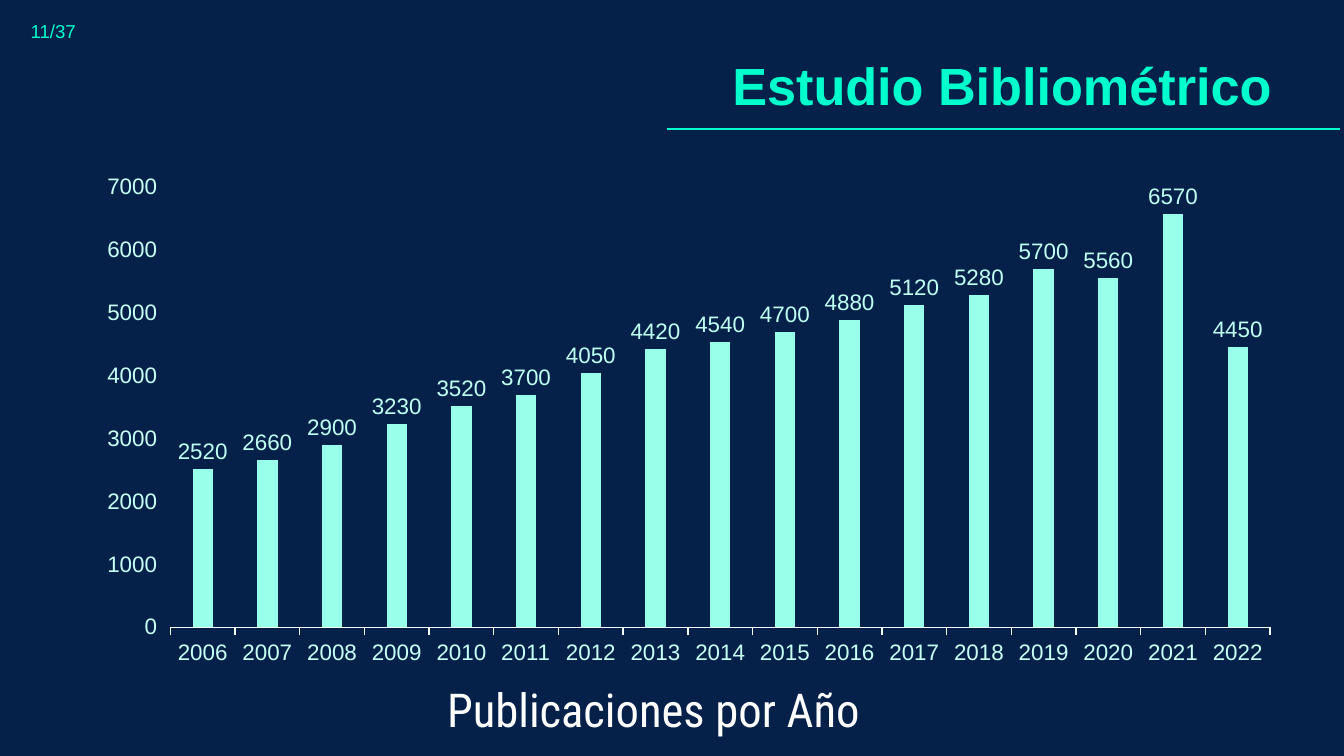
"""Build the slide with the yearly publications chart."""
from dataclasses import dataclass

from lxml import etree
from pptx import Presentation
from pptx import util as u
from pptx.chart.data import CategoryChartData
from pptx.dml.color import RGBColor
from pptx.enum import chart as charts, shapes, text
from pptx.oxml.ns import qn


@dataclass(frozen=True)
class Theme:
    """Colours, fonts and type sizes of the slide."""

    background: str = "05214A"
    accent: str = "00FFCD"
    caption: str = "FFFFFF"
    bar: str = "98FFEA"
    bar_label: str = "BFFFF2"
    axis_label: str = "C8FFF4"
    axis_line: str = "F2FFFC"
    chart_text: str = "AAFFEE"
    body_font: str = "Arial"
    caption_font: str = "Roboto Condensed"
    title_size: float = 28
    caption_size: float = 25
    label_size: float = 12
    small_size: float = 10
    line_width: float = 0.75


class Page:
    """Hold the theme and the current slide, and add elements to it."""

    def __init__(self, deck, theme):
        """Add a title-only slide with a plain background."""
        self.theme = theme
        self.slide = deck.slides.add_slide(deck.slide_layouts[5])
        fill = self.slide.background.fill
        fill.solid()
        fill.fore_color.rgb = RGBColor.from_string(theme.background)

    def style(self, font, size, color, name=None, bold=False):
        """Set size, colour, typeface and weight of a font."""
        font.size = u.Pt(size)
        font.color.rgb = RGBColor.from_string(color)
        font.name = name or self.theme.body_font
        font.bold = bold

    def fill_text(self, box, words, anchor, inset, **look):
        """Put one left-aligned paragraph into a box."""
        frame = box.text_frame
        frame.text = words
        frame.word_wrap = True
        frame.auto_size = text.MSO_AUTO_SIZE.NONE
        frame.vertical_anchor = anchor
        frame.margin_left = frame.margin_right = u.Cm(0.25)
        frame.margin_top = frame.margin_bottom = u.Cm(inset)
        para = frame.paragraphs[0]
        para.alignment = text.PP_ALIGN.LEFT
        self.style(para.font, **look)

    def title(self, words, left, top, width, height):
        """Move, fill and format the title placeholder."""
        box = self.slide.shapes.title
        box.left, box.top = u.Cm(left), u.Cm(top)
        box.width, box.height = u.Cm(width), u.Cm(height)
        self.fill_text(box, words, text.MSO_ANCHOR.BOTTOM, 0.25,
                       size=self.theme.title_size, color=self.theme.accent, bold=True)

    def label(self, words, left, top, width, height, inset=0.25, **look):
        """Add a text box."""
        box = self.slide.shapes.add_textbox(*map(u.Cm, (left, top, width, height)))
        self.fill_text(box, words, text.MSO_ANCHOR.TOP, inset, **look)

    def rule(self, left, right, top):
        """Add a thin horizontal line."""
        line = self.slide.shapes.add_connector(
            shapes.MSO_CONNECTOR.STRAIGHT, *map(u.Cm, (left, top, right, top)))
        line.line.color.rgb = RGBColor.from_string(self.theme.accent)
        line.line.width = u.Pt(self.theme.line_width)
        etree.SubElement(line._element.spPr, qn("a:effectLst"))

    def columns(self, categories, values, left, top, width, height):
        """Add a column chart with a value above each bar."""
        theme = self.theme
        data = CategoryChartData()
        data.categories = categories
        data.add_series("Series 1", values)
        chart = self.slide.shapes.add_chart(
            charts.XL_CHART_TYPE.COLUMN_CLUSTERED,
            *map(u.Cm, (left, top, width, height)), data).chart
        chart.has_legend = chart.has_title = False
        self.style(chart.font, theme.small_size, theme.chart_text)

        for axis in (chart.category_axis, chart.value_axis):
            axis.has_major_gridlines = False
            axis.major_tick_mark = charts.XL_TICK_MARK.OUTSIDE
            self.style(axis.tick_labels.font, theme.label_size, theme.axis_label)
        line = chart.category_axis.format.line
        line.color.rgb = RGBColor.from_string(theme.axis_line)
        line.width = u.Pt(theme.line_width)
        scale = chart.value_axis
        scale.format.line.fill.background()
        scale.minimum_scale, scale.maximum_scale, scale.major_unit = 0, 7000, 1000

        plot = chart.plots[0]
        plot.vary_by_categories = False
        plot.gap_width, plot.overlap = 219, -27
        fill = plot.series[0].format.fill
        fill.solid()
        fill.fore_color.rgb = RGBColor.from_string(theme.bar)
        labels = plot.series[0].data_labels
        labels.show_value = True
        labels.position = charts.XL_LABEL_POSITION.OUTSIDE_END
        self.style(labels.font, theme.label_size, theme.bar_label)


def main():
    """Build and save the deck."""
    deck = Presentation()
    deck.slide_width, deck.slide_height = u.Cm(25.4), u.Cm(14.29)
    theme = Theme()
    page = Page(deck, theme)
    publications = [2520, 2660, 2900, 3230, 3520, 3700, 4050, 4420, 4540,
                    4700, 4880, 5120, 5280, 5700, 5560, 6570, 4450]
    years = [str(2006 + step) for step in range(len(publications))]

    page.title("Estudio Bibliométrico", 13.59, 0.79, 14.35, 1.65)
    page.rule(12.6, 25.32, 2.44)
    page.label("Publicaciones por Año", 8.2, 12.62, 9.63, 1.57,
               size=theme.caption_size, color=theme.caption, name=theme.caption_font)
    page.columns(years, publications, 1.57, 3.12, 22.89, 9.63)
    page.label("11/37", 0.33, 0.25, 2.84, 0.69, inset=0.13,
               size=theme.small_size, color=theme.accent)
    deck.save("out.pptx")


if __name__ == "__main__":
    main()
